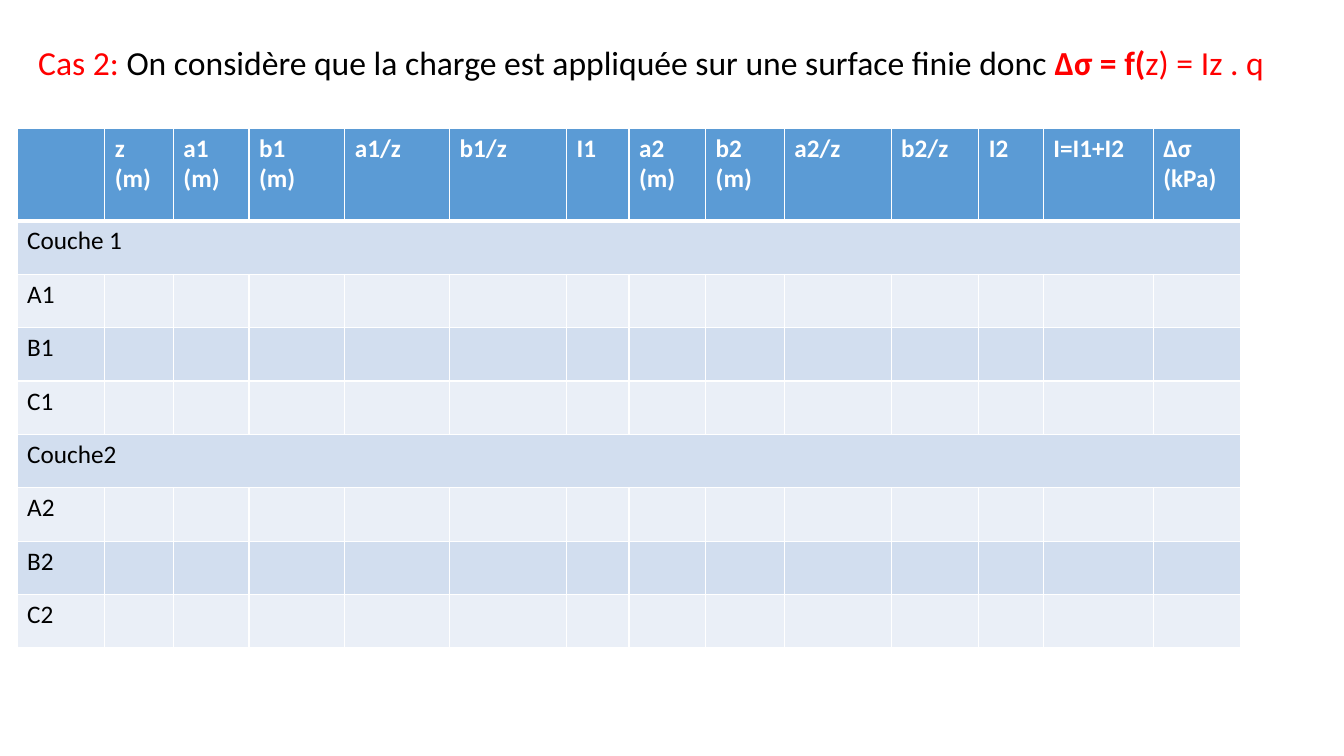
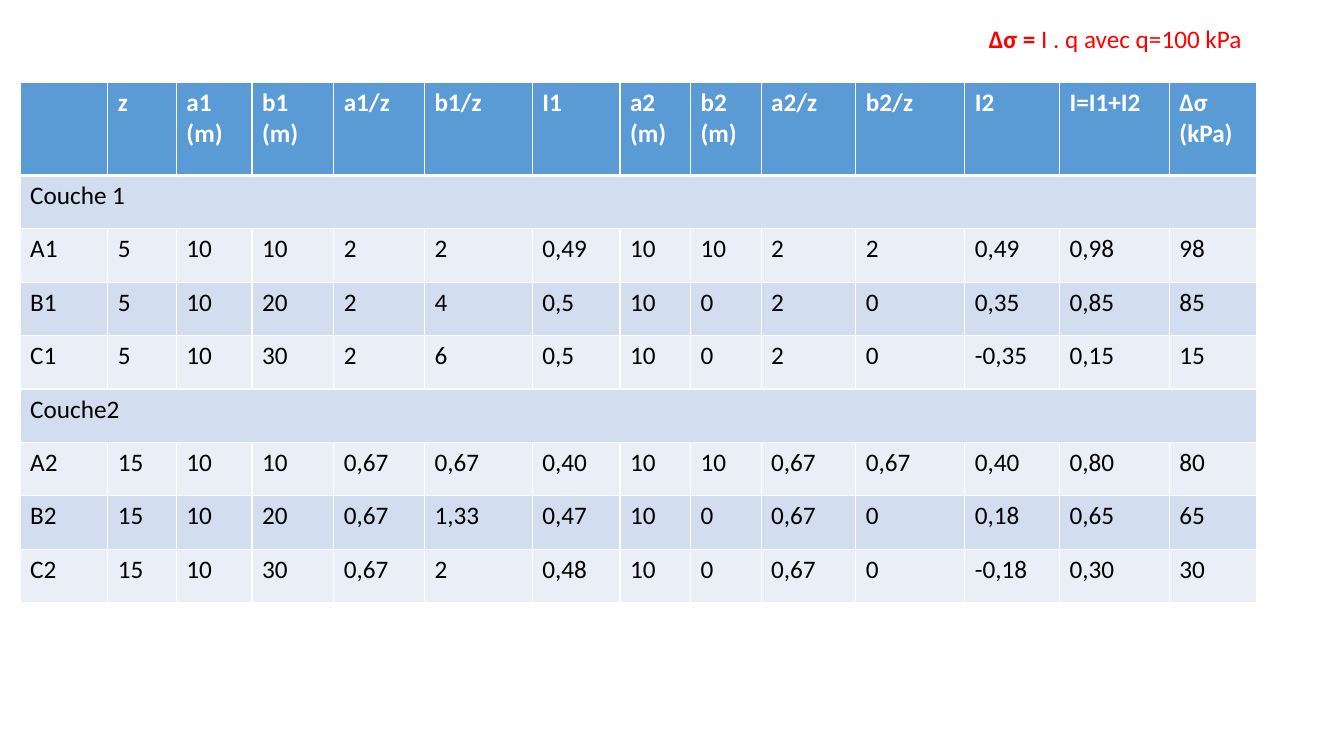
from lxml.etree import SubElement
from pptx import Presentation
from pptx.dml.color import RGBColor
from pptx.oxml.ns import qn
from pptx.util import Inches, Pt

FONT = "Calibri"
RED, BLACK, WHITE = "FF0000", "000000", "FFFFFF"
HEADER_FILL, DARK_BAND, LIGHT_BAND = "5B9BD5", "D2DEEF", "EAEFF7"
HEADER_HEIGHT, ROW_HEIGHT = 0.92, 0.53
THIN, THICK = 1, 3

HEADINGS = ["", "z", "a1\n(m)", "b1\n(m)", "a1/z", "b1/z", "I1", "a2\n(m)", "b2\n(m)",
            "a2/z", "b2/z", "I2", "I=I1+I2", "∆σ\n(kPa)"]
LAYERS = {"Couche 1": ["A1", "B1", "C1"], "Couche2": ["A2", "B2", "C2"]}
RESULTS = {
    "A1": "5 10 10 2 2 0,49 10 10 2 2 0,49 0,98 98",
    "B1": "5 10 20 2 4 0,5 10 0 2 0 0,35 0,85 85",
    "C1": "5 10 30 2 6 0,5 10 0 2 0 -0,35 0,15 15",
    "A2": "15 10 10 0,67 0,67 0,40 10 10 0,67 0,67 0,40 0,80 80",
    "B2": "15 10 20 0,67 1,33 0,47 10 0 0,67 0 0,18 0,65 65",
    "C2": "15 10 30 0,67 2 0,48 10 0 0,67 0 -0,18 0,30 30",
}
BLANK_WIDTHS = [0.87, 0.68, 0.75, 0.95, 1.04, 1.16, 0.62, 0.76, 0.78, 1.06, 0.87, 0.64, 1.09, 0.87]
RESULT_WIDTHS = [0.87, 0.68, 0.75, 0.81, 0.9, 1.07, 0.87, 0.7, 0.7, 0.94, 1.08, 0.94, 1.09, 0.87]


def color(value):
    """Turn a hex string into a colour."""
    return RGBColor.from_string(value)


def add_formula(slide, box, size, runs):
    """Write one line of (text, colour, bold) runs in a box."""
    shape = slide.shapes.add_textbox(*map(Inches, box))
    shape.text_frame.word_wrap = True
    paragraph = shape.text_frame.paragraphs[0]
    paragraph.font.name, paragraph.font.size = FONT, Pt(size)
    for text, run_color, bold in runs:
        run = paragraph.add_run()
        run.text = text
        run.font.color.rgb = color(run_color)
        run.font.bold = bold


def set_borders(cell, top, bottom):
    """Draw white borders, with the given widths above and below."""
    properties = cell._tc.get_or_add_tcPr()
    for side, width in (("L", THIN), ("R", THIN), ("T", top), ("B", bottom)):
        line = SubElement(properties, qn(f"a:ln{side}"), w=str(Pt(width)))
        SubElement(SubElement(line, qn("a:solidFill")), qn("a:srgbClr"), val=WHITE)


def style_cell(cell, row, text):
    """Fill a cell according to its row and write its text."""
    header = row == 0
    if not cell.is_spanned:
        set_borders(cell, THICK if row == 1 else THIN, THICK if header else THIN)
    cell.fill.solid()
    band = DARK_BAND if row % 2 else LIGHT_BAND
    cell.fill.fore_color.rgb = color(HEADER_FILL if header else band)
    cell.text = text
    for paragraph in cell.text_frame.paragraphs:
        font = paragraph.font
        font.name, font.size, font.bold = FONT, Pt(18), header
        font.color.rgb = color(WHITE if header else BLACK)


def add_stress_table(slide, left, top, widths, headings, results):
    """Build the table of layers and points, with any results given."""
    count = len(headings)
    rows = [headings]
    for layer, points in LAYERS.items():
        rows.append([layer])
        rows += [[point, *results.get(point, "").split()] for point in points]
    heights = [HEADER_HEIGHT] + [ROW_HEIGHT] * (len(rows) - 1)
    box = (left, top, sum(widths), sum(heights))
    table = slide.shapes.add_table(len(rows), count, *map(Inches, box)).table
    for column, width in zip(table.columns, widths):
        column.width = Inches(width)
    for row, (values, height) in enumerate(zip(rows, heights)):
        table.rows[row].height = Inches(height)
        if values[0] in LAYERS:
            table.cell(row, 0).merge(table.cell(row, count - 1))
        padded = values + [""] * (count - len(values))
        for column, text in enumerate(padded):
            style_cell(table.cell(row, column), row, text)


def build_blank_case(slide):
    """Build the slide that states case 2 above an empty table."""
    add_formula(slide, (0.28, 0.37, 12.65, 0.5), 24, [
        ("Cas 2:", RED, False),
        (" On considère que la charge est appliquée sur une surface finie donc ", BLACK, False),
        ("∆σ = f(", RED, True),
        ("z) = Iz . q", RED, False),
    ])
    headings = ["z\n(m)" if heading == "z" else heading for heading in HEADINGS]
    add_stress_table(slide, 0.17, 1.27, BLANK_WIDTHS, headings, {})


def build_results(slide):
    """Build the slide with the completed table and its formula."""
    add_stress_table(slide, 0.2, 0.82, RESULT_WIDTHS, HEADINGS, RESULTS)
    add_formula(slide, (9.71, 0.18, 2.87, 0.4), 18, [
        ("∆σ = ", RED, True),
        ("I . q avec q=100 kPa", RED, False),
    ])


def main():
    """Build and save the presentation."""
    presentation = Presentation()
    presentation.slide_width, presentation.slide_height = Inches(13.33), Inches(7.5)
    for build in (build_blank_case, build_results):
        build(presentation.slides.add_slide(presentation.slide_layouts[6]))
    presentation.save("out.pptx")


if __name__ == "__main__":
    main()
